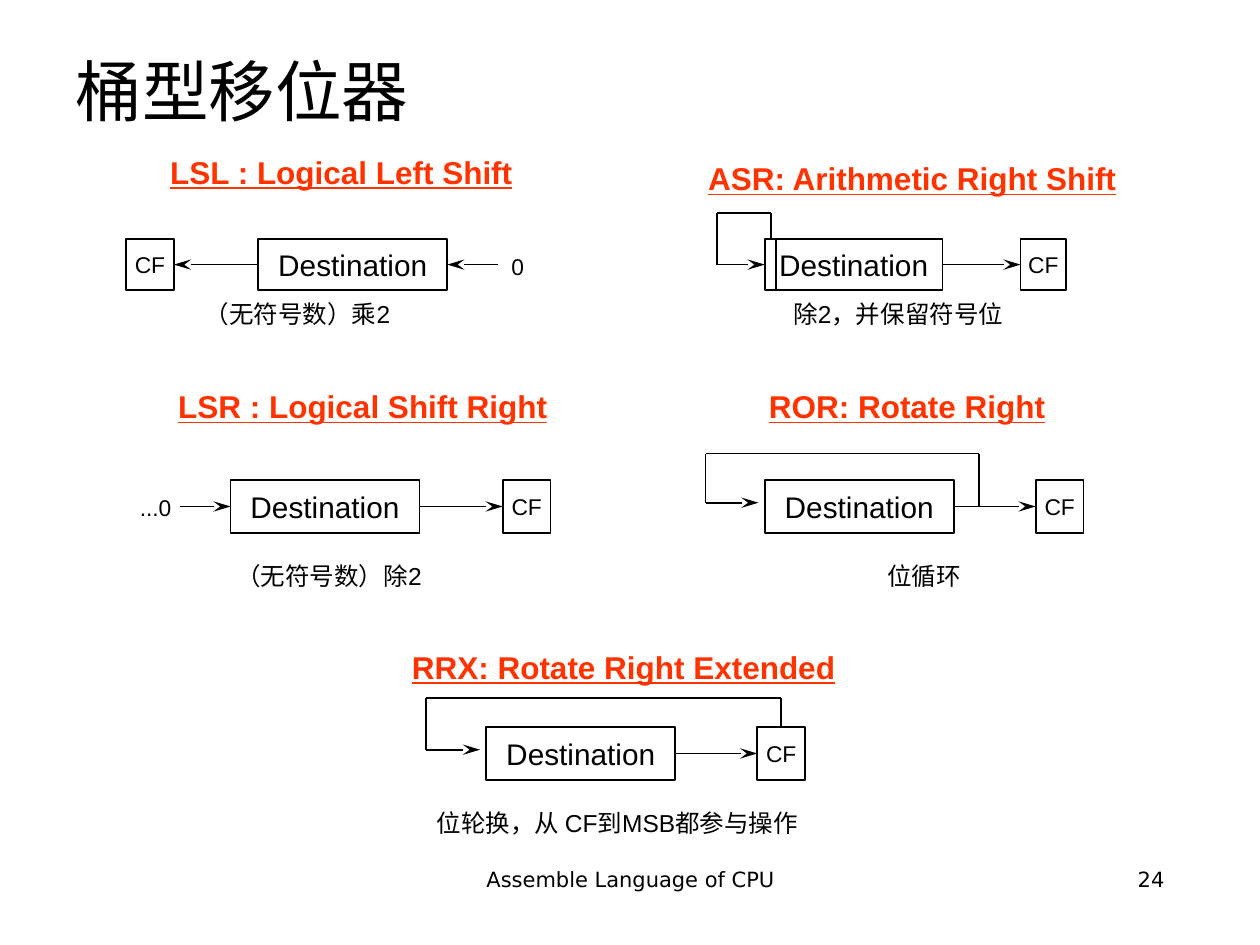
from lxml.etree import SubElement
from pptx import Presentation
from pptx.dml.color import RGBColor
from pptx.enum.shapes import MSO_CONNECTOR, MSO_SHAPE
from pptx.enum.text import MSO_ANCHOR, PP_ALIGN
from pptx.oxml.ns import qn
from pptx.util import Inches, Pt

COLORS = {"ink": "000000", "heading": "FF3300", "paper": "FFFFFF"}
TOP, LEFT, BOTTOM, RIGHT = range(4)


def write_text(text_frame, text, *, size, font="Arial", color="ink", bold=False,
               underline=False, align=PP_ALIGN.CENTER, anchor=MSO_ANCHOR.TOP,
               spacing=None, wrap=True, insets=(0.1, 0.05)):
    text_frame.word_wrap = wrap
    text_frame.vertical_anchor = anchor
    text_frame.margin_left = text_frame.margin_right = Inches(insets[0])
    text_frame.margin_top = text_frame.margin_bottom = Inches(insets[1])
    paragraph = text_frame.paragraphs[0]
    paragraph.alignment = align
    if spacing:
        paragraph.line_spacing = spacing
    run = paragraph.add_run()
    run.text = text
    run.font.name = font
    run.font.size = Pt(size)
    run.font.bold = bold
    run.font.underline = underline
    run.font.color.rgb = RGBColor.from_string(COLORS[color])


class ShifterSlide:
    """Style and element methods for the barrel shifter slide."""

    def __init__(self, presentation):
        self.slide = presentation.slides.add_slide(presentation.slide_layouts[5])
        self.shapes = self.slide.shapes

    def title(self, text, left, top, width, height):
        shape = self.shapes.title
        shape.left, shape.top = Inches(left), Inches(top)
        shape.width, shape.height = Inches(width), Inches(height)
        write_text(shape.text_frame, text, size=38, font="DejaVu Sans",
                   align=PP_ALIGN.LEFT, anchor=MSO_ANCHOR.BOTTOM)

    def label(self, text, left, top, width, height, **text_format):
        shape = self.shapes.add_textbox(
            Inches(left), Inches(top), Inches(width), Inches(height))
        write_text(shape.text_frame, text, **text_format)

    def heading(self, text, left, top, width):
        self.label(text, left, top, width, 0.37, size=18, color="heading",
                   bold=True, underline=True, spacing=0.9)

    def caption(self, text, left, top, width):
        self.label(text, left, top, width, 0.31, size=14, spacing=0.9, wrap=False)

    def bit(self, text, left, top, width):
        self.label(text, left, top, width, 0.26, size=13, spacing=0.9,
                   align=PP_ALIGN.LEFT, wrap=False, insets=(0.05, 0.03))

    def box(self, text, left, top, width, height, size):
        shape = self.shapes.add_shape(
            MSO_SHAPE.RECTANGLE, Inches(left), Inches(top), Inches(width), Inches(height))
        shape.shadow.inherit = False
        shape.fill.solid()
        shape.fill.fore_color.rgb = RGBColor.from_string(COLORS["paper"])
        shape.line.color.rgb = RGBColor.from_string(COLORS["ink"])
        shape.line.width = Pt(1)
        write_text(shape.text_frame, text, size=size, anchor=MSO_ANCHOR.MIDDLE,
                   wrap=False, insets=(0.05, 0.03))
        return shape

    def register(self, left, top, height, width=1.5):
        return self.box("Destination", left, top, width, height, 17)

    def carry(self, left, top, height, width=0.38):
        return self.box("CF", left, top, width, height, 13)

    def line(self, start=(0, 0), end=(0, 0), begin_at=None, end_at=None, arrow=False):
        """Draw a line; begin_at and end_at are (shape, side) pairs to join."""
        connector = self.shapes.add_connector(
            MSO_CONNECTOR.STRAIGHT, *(Inches(value) for value in (*start, *end)))
        if begin_at:
            connector.begin_connect(*begin_at)
        if end_at:
            connector.end_connect(*end_at)
        connector.line.color.rgb = RGBColor.from_string(COLORS["ink"])
        connector.line.width = Pt(1)
        properties = connector._element.spPr
        if arrow:
            SubElement(properties.find(qn("a:ln")), qn("a:tailEnd"),
                       type="stealth", w="med", len="lg")
        SubElement(properties, qn("a:effectLst"))

    def feedback(self, points, begin_at=None, end_at=None):
        """Draw a bent path of lines whose last one carries the arrowhead."""
        last = len(points) - 2
        for index, (start, end) in enumerate(zip(points, points[1:])):
            self.line(start, end,
                      begin_at=begin_at if index == 0 else None,
                      end_at=end_at if index == last else None,
                      arrow=index == last)


def main():
    presentation = Presentation()
    presentation.slide_width, presentation.slide_height = Inches(10), Inches(7.5)
    page = ShifterSlide(presentation)

    # Title and footer
    page.title("桶型移位器", 0.5, 0.08, 9, 1)
    page.label("Assemble Language of CPU", 3.42, 6.83, 3.17, 0.52,
               size=12, font="DejaVu Sans")
    page.label("24", 7.17, 6.83, 2.17, 0.52,
               size=12, font="DejaVu Sans", align=PP_ALIGN.RIGHT)

    # Headings
    for text, left, top, width in (
        ("LSL : Logical Left Shift", 1.01, 1.2, 3.4),
        ("ASR: Arithmetic Right Shift", 5.42, 1.25, 3.64),
        ("LSR : Logical Shift Right", 1.18, 3.06, 3.4),
        ("ROR: Rotate Right", 5.5, 3.06, 3.4),
        ("RRX: Rotate Right Extended", 3.12, 5.13, 3.66),
    ):
        page.heading(text, left, top, width)

    # Captions
    for text, left, top, width in (
        ("（无符号数）乘2", 1.5, 2.35, 1.72),
        ("除2，并保留符号位", 6.15, 2.35, 1.96),
        ("（无符号数）除2", 1.75, 4.43, 1.72),
        ("位循环", 6.92, 4.43, 0.83),
        ("位轮换，从 CF到MSB都参与操作", 3.27, 6.39, 3.26),
    ):
        page.caption(text, left, top, width)

    # LSL: zero enters on the right
    top, height = 1.9, 0.4
    register = page.register(2.05, top, height)
    carry = page.carry(1, top, height)
    page.line(begin_at=(register, LEFT), end_at=(carry, RIGHT), arrow=True)
    page.line((3.95, 2.1), end_at=(register, RIGHT), arrow=True)
    page.bit("0", 4.01, 2, 0.2)

    # ASR: the sign bit feeds back into itself
    register = page.register(6.07, top, height, width=1.41)
    carry = page.carry(8.1, top, height, width=0.36)
    page.line(begin_at=(register, RIGHT), end_at=(carry, LEFT), arrow=True)
    page.feedback([(6.12, top), (6.12, 1.69), (5.69, 1.69), (5.69, 2.1), (6.07, 2.1)],
                  end_at=(register, LEFT))
    page.line((6.16, top), (6.16, top + height))

    # LSR: zero enters on the left
    top, height = 3.81, 0.42
    register = page.register(1.83, top, height)
    carry = page.carry(3.99, top, height)
    page.line(begin_at=(register, RIGHT), end_at=(carry, LEFT), arrow=True)
    page.line((1.43, 4.02), end_at=(register, LEFT), arrow=True)
    page.bit("...0", 1.06, 3.91, 0.36)

    # ROR: the outgoing bit returns on the left
    register = page.register(6.07, top, height)
    carry = page.carry(8.22, top, height)
    page.line(begin_at=(register, RIGHT), end_at=(carry, LEFT), arrow=True)
    page.feedback([(7.77, 4.02), (7.77, 3.6), (5.6, 3.6), (5.6, 3.99), (6.02, 3.99)])

    # RRX: the carry flag returns on the left
    top = 5.77
    register = page.register(3.86, top, height)
    carry = page.carry(6.01, top, height)
    page.line(begin_at=(register, RIGHT), end_at=(carry, LEFT), arrow=True)
    page.feedback([(6.2, top), (6.2, 5.54), (3.38, 5.54), (3.38, 5.95), (3.81, 5.95)],
                  begin_at=(carry, TOP))

    presentation.save("out.pptx")


if __name__ == "__main__":
    main()
